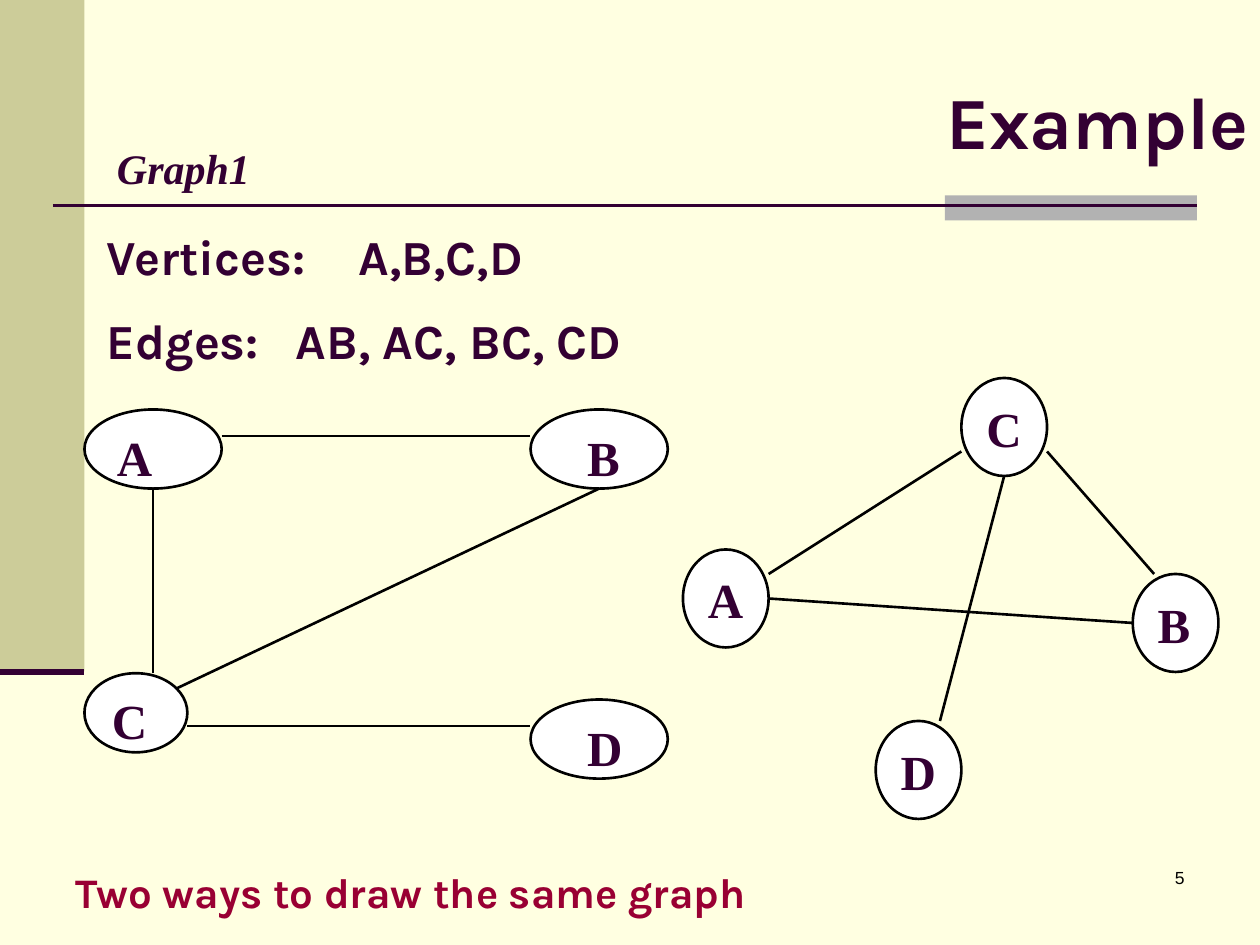
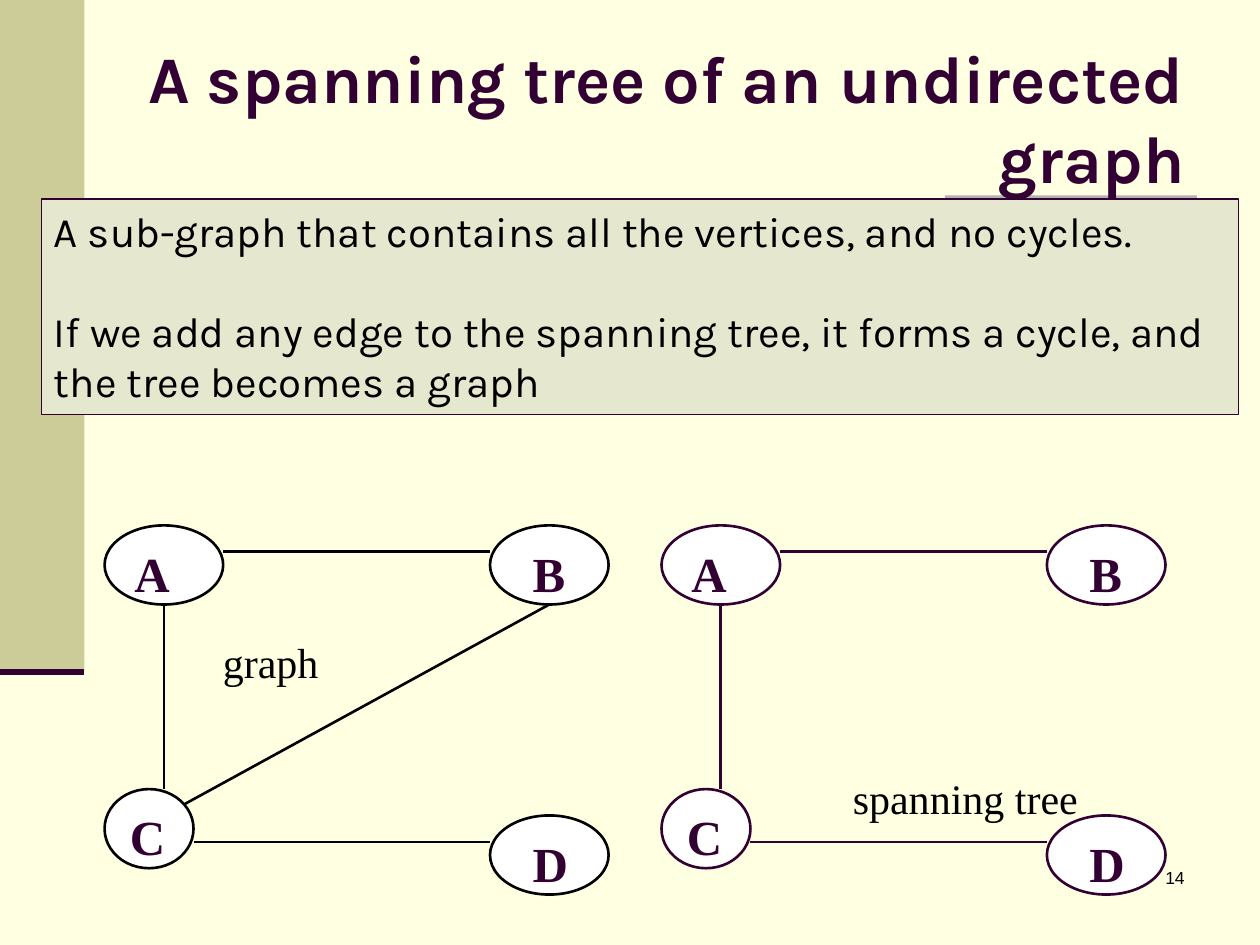
from pptx import Presentation
from pptx import util as u
from pptx.dml.color import RGBColor
from pptx.enum import shapes, text
from pptx.oxml.ns import qn
from lxml import etree

CREAM = RGBColor(0xFF, 0xFF, 0xE1)
KHAKI = RGBColor(0xCC, 0xCC, 0x99)
SAGE = RGBColor(0xE5, 0xE7, 0xCF)
GRAY = RGBColor(0xB2, 0xB2, 0xB2)
PLUM = RGBColor(0x33, 0x00, 0x33)
CRIMSON = RGBColor(0x99, 0x00, 0x33)
BLACK = RGBColor(0, 0, 0)
WHITE = RGBColor(0xFF, 0xFF, 0xFF)
SANS, SERIF, NUMBER = "Karla", "Times New Roman", "Arial"

SQUARE_SIZE = (34, 14)
SQUARE_NODES = {"A": (0, 0, 8, 3), "B": (26, 0, 8, 3),
                "C": (0, 10, 6, 3), "D": (26, 11, 8, 3)}
TREE_EDGES = [(8, 1, 26, 1), (4, 3, 4, 10), (6, 12, 26, 12)]
SQUARE_EDGES = [(30, 3, 4, 11)] + TREE_EDGES

CROSSED_SIZE = (25, 18)
CROSSED_NODES = {"A": (0, 7, 4, 4), "C": (13, 0, 4, 4),
                 "B": (21, 8, 4, 4), "D": (9, 14, 4, 4)}
CROSSED_EDGES = [(4, 9, 21, 10), (4, 8, 13, 3), (17, 3, 22, 8), (15, 4, 12, 14)]


def inches(*lengths):
    return [u.Inches(length) for length in lengths]


def write(frame, words, size, font, color, bold=False, italic=False,
          align=text.PP_ALIGN.LEFT, anchor=text.MSO_ANCHOR.TOP, gap=0):
    frame.word_wrap = True
    frame.vertical_anchor = anchor
    for number, line in enumerate(words.split("\n")):
        para = frame.add_paragraph() if number else frame.paragraphs[0]
        para.alignment = align
        if number:
            para.space_before = u.Pt(gap)
        span = para.add_run()
        span.text = line
        span.font.size = u.Pt(size)
        span.font.name = font
        span.font.bold = bold
        span.font.italic = italic
        span.font.color.rgb = color


def add_text(page, place, words, **style):
    box = page.shapes.add_textbox(*inches(*place))
    write(box.text_frame, words, **style)


def add_block(page, kind, place, fill, line=None, width=1.5):
    block = page.shapes.add_shape(kind, *inches(*place))
    block.shadow.inherit = False
    block.fill.solid()
    block.fill.fore_color.rgb = fill
    if line is None:
        block.line.fill.background()
    else:
        block.line.color.rgb = line
        block.line.width = u.Pt(width)
    return block


def add_line(page, ends, color, width=1.5):
    line = page.shapes.add_connector(shapes.MSO_CONNECTOR.STRAIGHT, *inches(*ends))
    line.line.color.rgb = color
    line.line.width = u.Pt(width)
    etree.SubElement(line._element.spPr, qn("a:effectLst"))


def add_graph(page, place, size, nodes, edges, color=BLACK, indent=0):
    left, top, width, height = place
    unit_x, unit_y = width / size[0], height / size[1]
    for x1, y1, x2, y2 in edges:
        add_line(page, (left + x1 * unit_x, top + y1 * unit_y,
                        left + x2 * unit_x, top + y2 * unit_y), color)
    for name, (x, y, wide, high) in nodes.items():
        node = add_block(page, shapes.MSO_SHAPE.OVAL,
                         (left + x * unit_x, top + y * unit_y,
                          wide * unit_x, high * unit_y), WHITE, color)
        if name in "BD":
            node.text_frame.margin_left = u.Inches(0.1 + indent)
        write(node.text_frame, name, size=28, font=SERIF, color=PLUM, bold=True)


def add_page(deck, title, title_place, title_size, number, ruled):
    page = deck.slides.add_slide(deck.slide_layouts[6])
    page.background.fill.solid()
    page.background.fill.fore_color.rgb = CREAM
    add_block(page, shapes.MSO_SHAPE.RECTANGLE, (0, 0, 0.67, 5.33), KHAKI)
    add_block(page, shapes.MSO_SHAPE.RECTANGLE, (7.5, 1.55, 2, 0.2), GRAY)
    if ruled:
        add_line(page, (0.42, 1.63, 9.5, 1.63), PLUM)
    add_line(page, (0, 5.33, 0.67, 5.33), PLUM, 3.5)
    add_text(page, (7.42, 6.83, 2.08, 0.5), number, size=10, font=NUMBER,
             color=BLACK, align=text.PP_ALIGN.RIGHT)
    add_text(page, title_place, title, size=title_size, font=SANS, color=PLUM,
             bold=True, align=text.PP_ALIGN.RIGHT, anchor=text.MSO_ANCHOR.MIDDLE)
    return page


def build_example(deck):
    page = add_page(deck, "Example", (1.51, 0.33, 8.5, 1.25), 42, "5", ruled=True)
    add_text(page, (0.83, 1.08, 2, 0.5), "Graph1", size=24, font=SERIF,
             color=PLUM, bold=True, italic=True)
    add_text(page, (0.75, 1.75, 5.33, 1.27),
             "Vertices:\tA,B,C,D\nEdges:\tAB, AC, BC, CD",
             size=28, font=SANS, color=PLUM, bold=True, gap=14.5)
    add_graph(page, (0.67, 3.25, 4.63, 2.93), SQUARE_SIZE, SQUARE_NODES,
              SQUARE_EDGES, indent=0.19)
    add_graph(page, (5.42, 3, 4.25, 3.5), CROSSED_SIZE, CROSSED_NODES, CROSSED_EDGES)
    add_text(page, (0.5, 6.83, 6.5, 0.5), "Two ways to draw the same graph",
             size=24, font=SANS, color=CRIMSON, bold=True)


def build_spanning_tree(deck):
    page = add_page(deck, "A spanning tree of an undirected graph",
                    (1, 0.3, 8.5, 1.25), 38, "14", ruled=False)
    definition = add_block(page, shapes.MSO_SHAPE.RECTANGLE,
                           (0.33, 1.58, 9.5, 1.71), SAGE, PLUM, 1)
    write(definition.text_frame,
          "A sub-graph that contains all the vertices, and no cycles.\n"
          "If we add any edge to the spanning tree, it forms a cycle, "
          "and the tree becomes a graph",
          size=24, font=SANS, color=BLACK, gap=28.5)
    add_graph(page, (0.83, 4.17, 4, 2.93), SQUARE_SIZE, SQUARE_NODES,
              SQUARE_EDGES, indent=0.1)
    add_graph(page, (5.25, 4.17, 4, 2.93), SQUARE_SIZE, SQUARE_NODES,
              TREE_EDGES, color=PLUM, indent=0.1)
    for place, label in (((1.67, 5, 1.08, 0.5), "graph"),
                         ((6.67, 6.08, 2.17, 0.5), "spanning tree")):
        add_text(page, place, label, size=24, font=SERIF, color=BLACK)


def main():
    deck = Presentation()
    deck.slide_width, deck.slide_height = inches(10, 7.5)
    build_example(deck)
    build_spanning_tree(deck)
    deck.save("out.pptx")


main()
